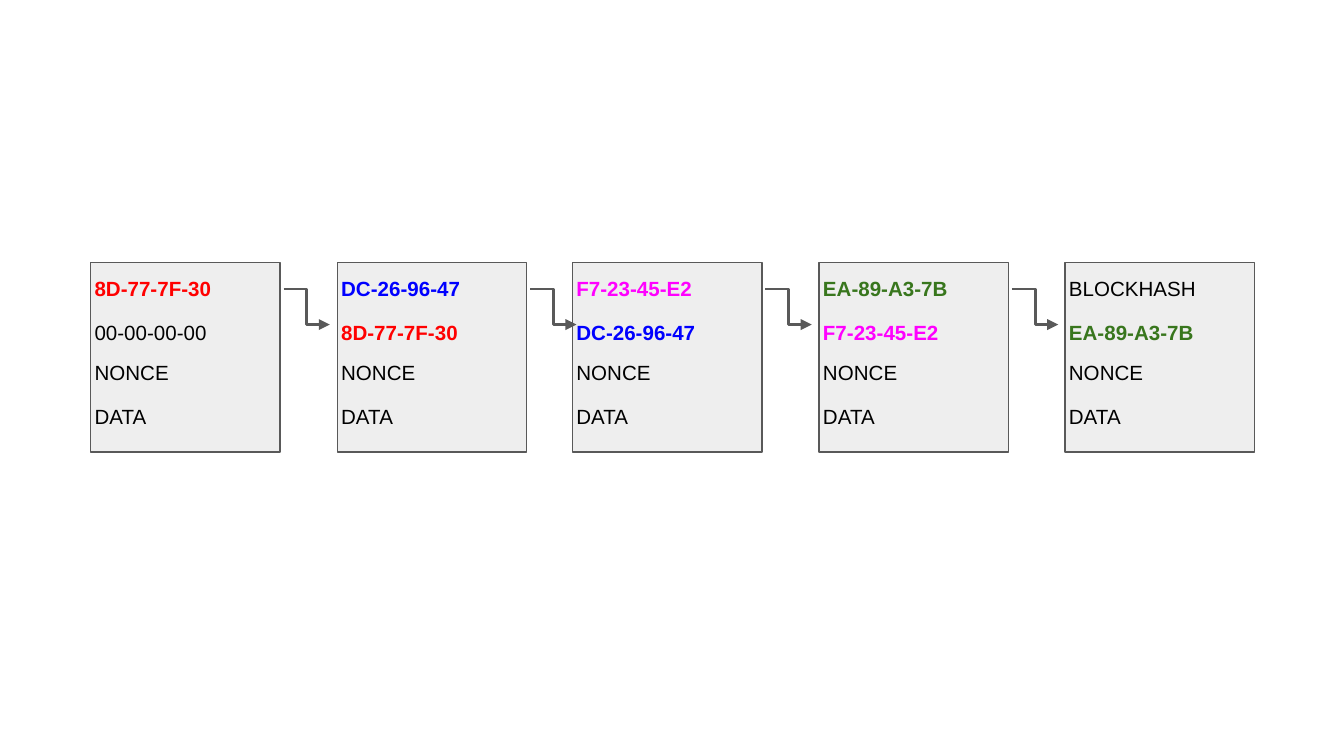
from dataclasses import dataclass

from lxml import etree
from pptx import Presentation, util as u
from pptx.dml.color import RGBColor
from pptx.enum import shapes, text
from pptx.oxml import ns

EMU_PER_PX = 4572
SLIDE_WIDTH, SLIDE_HEIGHT = 2000, 1125


@dataclass(frozen=True)
class Theme:
    font: str = "Arial"
    text_size: float = 11
    block_line: float = 0.75
    arrow_line: float = 1.5
    fill: str = "EEEEEE"
    line: str = "595959"
    black: str = "000000"
    red: str = "FF0000"
    blue: str = "0000FF"
    magenta: str = "FF00FF"
    green: str = "38761D"


THEME = Theme()


@dataclass(frozen=True)
class Field:
    label: str
    color: str = THEME.black
    bold: bool = False


@dataclass(frozen=True)
class Block:
    left: int
    block_hash: Field
    previous_hash: Field

    def fields(self) -> list[Field]:
        return [self.block_hash, self.previous_hash, Field("NONCE"), Field("DATA")]


BLOCK_LEFTS = [135, 502, 852, 1219, 1585]
BLOCK_TOP, BLOCK_SIZE = 391, 282
FIELD_TOPS = [392, 458, 517, 583]
FIELD_WIDTHS = [306, 334, 334, 334]
FIELD_HEIGHT, FIELD_OUTDENT, FIELD_INSET = 78, 14, 20
ARROW_OFFSET, ARROW_WIDTH = 287, 69
ARROW_TOP, ARROW_BOTTOM = 430, 483

HASHES = [
    Field("00-00-00-00"),
    Field("8D-77-7F-30", THEME.red, True),
    Field("DC-26-96-47", THEME.blue, True),
    Field("F7-23-45-E2", THEME.magenta, True),
    Field("EA-89-A3-7B", THEME.green, True),
    Field("BLOCKHASH"),
]
BLOCKS = [
    Block(left, block_hash, previous_hash)
    for left, block_hash, previous_hash in zip(BLOCK_LEFTS, HASHES[1:], HASHES)
]


def px(value: int) -> u.Emu:
    return u.Emu(value * EMU_PER_PX)


def rgb(color: str) -> RGBColor:
    return RGBColor.from_string(color)


def draw_field(group, field: Field, left: int, top: int, width: int) -> None:
    box = group.shapes.add_textbox(px(left), px(top), px(width), px(FIELD_HEIGHT))
    frame = box.text_frame
    frame.word_wrap = True
    frame.auto_size = text.MSO_AUTO_SIZE.SHAPE_TO_FIT_TEXT
    frame.margin_left = frame.margin_right = px(FIELD_INSET)
    frame.margin_top = frame.margin_bottom = px(FIELD_INSET)
    paragraph = frame.paragraphs[0]
    paragraph.text = field.label
    font = paragraph.font
    font.name = THEME.font
    font.size = u.Pt(THEME.text_size)
    font.bold = field.bold
    font.color.rgb = rgb(field.color)


def draw_block(slide, block: Block) -> None:
    group = slide.shapes.add_group_shape()
    square = group.shapes.add_shape(
        shapes.MSO_SHAPE.RECTANGLE,
        px(block.left), px(BLOCK_TOP), px(BLOCK_SIZE), px(BLOCK_SIZE),
    )
    square.shadow.inherit = False
    square.fill.solid()
    square.fill.fore_color.rgb = rgb(THEME.fill)
    square.line.color.rgb = rgb(THEME.line)
    square.line.width = u.Pt(THEME.block_line)
    for field, top, width in zip(block.fields(), FIELD_TOPS, FIELD_WIDTHS):
        draw_field(group, field, block.left - FIELD_OUTDENT, top, width)


def draw_arrow(slide, block: Block) -> None:
    start = block.left + ARROW_OFFSET
    arrow = slide.shapes.add_connector(
        shapes.MSO_CONNECTOR.ELBOW,
        px(start), px(ARROW_TOP), px(start + ARROW_WIDTH), px(ARROW_BOTTOM),
    )
    arrow.line.color.rgb = rgb(THEME.line)
    arrow.line.width = u.Pt(THEME.arrow_line)
    etree.SubElement(arrow.line._get_or_add_ln(), ns.qn("a:tailEnd"), type="triangle")
    etree.SubElement(arrow._element.spPr, ns.qn("a:effectLst"))


def main() -> None:
    presentation = Presentation()
    presentation.slide_width = px(SLIDE_WIDTH)
    presentation.slide_height = px(SLIDE_HEIGHT)
    slide = presentation.slides.add_slide(presentation.slide_layouts[6])
    for block in BLOCKS:
        draw_block(slide, block)
    for block in BLOCKS[:-1]:
        draw_arrow(slide, block)
    presentation.save("out.pptx")


if __name__ == "__main__":
    main()
